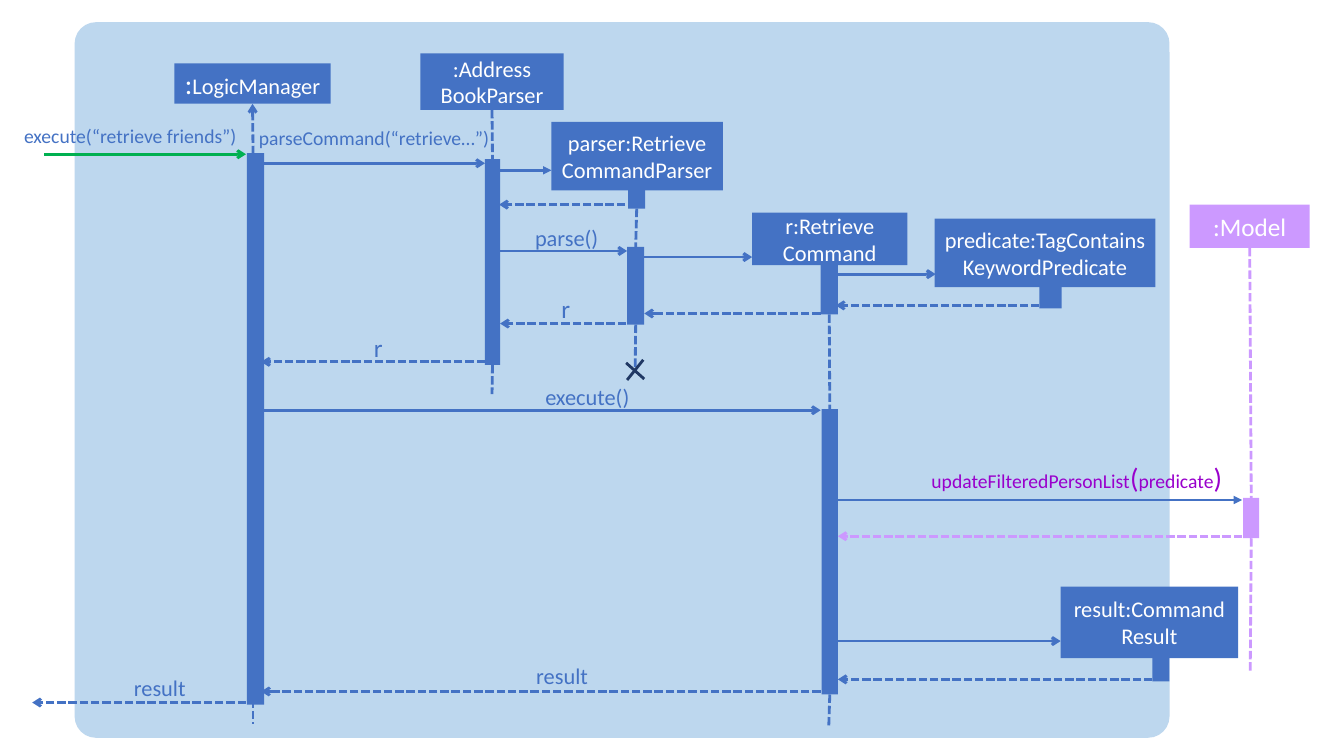
from lxml import etree
from pptx import Presentation
from pptx import util as u
from pptx.dml.color import RGBColor
from pptx.enum import dml, shapes, text
from pptx.oxml import ns

BLUE = RGBColor(0x44, 0x72, 0xC4)
PALE = RGBColor(0xBD, 0xD7, 0xEE)
NAVY = RGBColor(0x20, 0x38, 0x64)
GREEN = RGBColor(0x00, 0xB0, 0x50)
LILAC = RGBColor(0xCC, 0x99, 0xFF)
PURPLE = RGBColor(0x99, 0x00, 0xCC)
WHITE = RGBColor(0xFF, 0xFF, 0xFF)
LEFT, CENTER = text.PP_ALIGN.LEFT, text.PP_ALIGN.CENTER
TOP, BOTTOM = 0, 2


class SequenceDiagram:
    """Draws the parts of a sequence diagram in one style on one page."""

    font = "Calibri"
    line_width = u.Pt(2)

    def __init__(self, page):
        self.page = page

    def block(self, x, y, width, height, color=BLUE, kind=shapes.MSO_SHAPE.RECTANGLE):
        box = self.page.shapes.add_shape(kind, *map(u.Inches, (x, y, width, height)))
        box.shadow.inherit = False
        box.fill.solid()
        box.fill.fore_color.rgb = color
        box.line.fill.background()
        return box

    def add_lines(self, frame, lines, color, align):
        for index, spans in enumerate(lines):
            para = frame.paragraphs[0] if index == 0 else frame.add_paragraph()
            para.alignment = align
            for words, size in spans:
                span = para.add_run()
                span.text = words
                span.font.name = self.font
                span.font.size = u.Pt(size)
                span.font.color.rgb = color

    def participant(self, place, lines, color=BLUE):
        box = self.block(*place, color)
        frame = box.text_frame
        frame.word_wrap = True
        frame.vertical_anchor = text.MSO_ANCHOR.MIDDLE
        frame.margin_left = frame.margin_right = u.Inches(0.05)
        self.add_lines(frame, lines, WHITE, CENTER)
        return box

    def label(self, place, spans, align=CENTER, color=BLUE):
        box = self.page.shapes.add_textbox(*map(u.Inches, place))
        box.text_frame.word_wrap = True
        self.add_lines(box.text_frame, [spans], color, align)

    def line(self, start, end, color=BLUE, dashed=False, head=None):
        link = self.page.shapes.add_connector(
            shapes.MSO_CONNECTOR.STRAIGHT, *map(u.Inches, (*start, *end)))
        link.line.color.rgb = color
        link.line.width = self.line_width
        if dashed:
            link.line.dash_style = dml.MSO_LINE.SQUARE_DOT
        properties = link.element.spPr
        if head:
            outline = properties.find(ns.qn("a:ln"))
            etree.SubElement(outline, ns.qn("a:tailEnd"), type=head)
        etree.SubElement(properties, ns.qn("a:effectLst"))
        return link

    def message(self, y, start, end, color=BLUE, head="arrow"):
        self.line((start, y), (end, y), color, head=head)

    def reply(self, y, start, end, color=BLUE):
        self.line((start, y), (end, y), color, dashed=True, head="arrow")

    def lifeline(self, x, top, bottom, above=None, below=None, color=BLUE):
        link = self.line((x, top), (x, bottom), color, dashed=True)
        if above:
            link.begin_connect(above, BOTTOM)
        if below:
            link.end_connect(below, TOP)


def main():
    deck = Presentation()
    deck.slide_width, deck.slide_height = u.Inches(13.33), u.Inches(7.5)
    diagram = SequenceDiagram(deck.slides.add_slide(deck.slide_layouts[6]))

    logic_area = diagram.block(0.74, 0.22, 10.86, 7.1, PALE,
                               shapes.MSO_SHAPE.ROUNDED_RECTANGLE)
    logic_area.adjustments[0] = 0.03

    logic_manager = diagram.participant(
        (1.73, 0.63, 1.55, 0.4), [[(":", 20), ("LogicManager", 16)]])
    book_parser = diagram.participant(
        (4.17, 0.53, 1.42, 0.56), [[(":Address", 16)], [("BookParser", 16)]])
    model = diagram.participant((11.8, 2.03, 1.19, 0.43), [[(":Model", 18)]], LILAC)
    for place, first, second in (
        ((5.47, 1.21, 1.7, 0.68), "parser:Retrieve", "CommandParser"),
        ((7.46, 2.11, 1.54, 0.52), "r:Retrieve", "Command"),
        ((9.27, 2.17, 2.19, 0.68), "predicate:TagContains", "KeywordPredicate"),
        ((10.52, 5.82, 1.76, 0.71), "result:Command", "Result"),
    ):
        diagram.participant(place, [[(first, 16)], [(second, 16)]])

    diagram.block(2.45, 1.52, 0.17, 5.47)
    book_bar = diagram.block(4.81, 1.58, 0.15, 2.04)
    parser_birth = diagram.block(6.23, 1.84, 0.17, 0.23)
    parser_bar = diagram.block(6.22, 2.45, 0.17, 0.77)
    command_birth = diagram.block(8.14, 2.63, 0.17, 0.49)
    command_bar = diagram.block(8.15, 4.06, 0.16, 2.83)
    diagram.block(10.31, 2.83, 0.22, 0.23)
    diagram.block(11.43, 6.53, 0.17, 0.23)
    model_bar = diagram.block(12.33, 4.94, 0.16, 0.4, LILAC)

    manager_line = diagram.line((2.51, 1.53), (2.51, 1.04), dashed=True, head="arrow")
    manager_line.end_connect(logic_manager, BOTTOM)
    for x, top, bottom, above, below, color in (
        (2.51, 6.94, 7.18, None, None, BLUE),
        (4.88, 1.09, 1.58, book_parser, book_bar, BLUE),
        (4.88, 3.62, 3.91, book_bar, None, BLUE),
        (6.3, 2.07, 2.45, parser_birth, parser_bar, BLUE),
        (6.3, 3.22, 3.65, parser_bar, None, BLUE),
        (8.22, 3.12, 4.06, command_birth, command_bar, BLUE),
        (8.22, 6.89, 7.21, command_bar, None, BLUE),
        (12.4, 2.46, 4.94, model, model_bar, LILAC),
        (12.4, 5.34, 6.66, model_bar, None, LILAC),
    ):
        diagram.lifeline(x, top, bottom, above, below, color)

    diagram.message(1.53, 0.44, 2.44, GREEN)
    for y, start, end in (
        (1.62, 2.59, 4.81), (2.49, 4.95, 6.22), (2.55, 6.39, 7.46),
        (2.72, 8.21, 9.28), (4.07, 2.59, 8.14), (6.36, 8.31, 10.52),
    ):
        diagram.message(y, start, end)
    for y, start, end in ((1.69, 4.96, 5.47), (4.96, 8.31, 12.32)):
        diagram.message(y, start, end, head="triangle")

    for y, start, end in (
        (2.03, 6.2, 4.95), (3.03, 10.31, 8.29), (3.11, 8.14, 6.39),
        (3.21, 6.21, 4.96), (3.59, 4.81, 2.59), (6.74, 11.43, 8.31),
        (6.86, 8.14, 2.59), (6.97, 2.44, 0.32),
    ):
        diagram.reply(y, start, end)
    diagram.reply(5.32, 12.32, 8.31, LILAC)

    diagram.line((6.21, 3.6), (6.39, 3.76), NAVY)
    diagram.line((6.38, 3.57), (6.22, 3.77), NAVY)

    for place, words, size, align in (
        ((0.14, 1.18, 2.4, 0.34), "execute(“retrieve friends”)", 14, LEFT),
        ((2.47, 1.2, 2.5, 0.34), "parseCommand(“retrieve…”)", 14, LEFT),
        ((5.16, 2.17, 0.92, 0.37), "parse()", 16, CENTER),
        ((5.47, 2.86, 0.39, 0.4), "r", 18, LEFT),
        ((3.61, 3.25, 0.39, 0.4), "r", 18, LEFT),
        ((4.64, 3.75, 2.37, 0.37), "execute()", 16, CENTER),
        ((4.39, 6.52, 2.37, 0.37), "result", 16, CENTER),
        ((1.18, 6.64, 0.81, 0.37), "result", 16, CENTER),
    ):
        diagram.label(place, [(words, size)], align)
    diagram.label(
        (8.8, 4.52, 3.76, 0.44),
        [("updateFilteredPersonList", 14), ("(", 20), ("predicate", 14), (")", 20)],
        color=PURPLE)

    deck.save("out.pptx")


if __name__ == "__main__":
    main()
